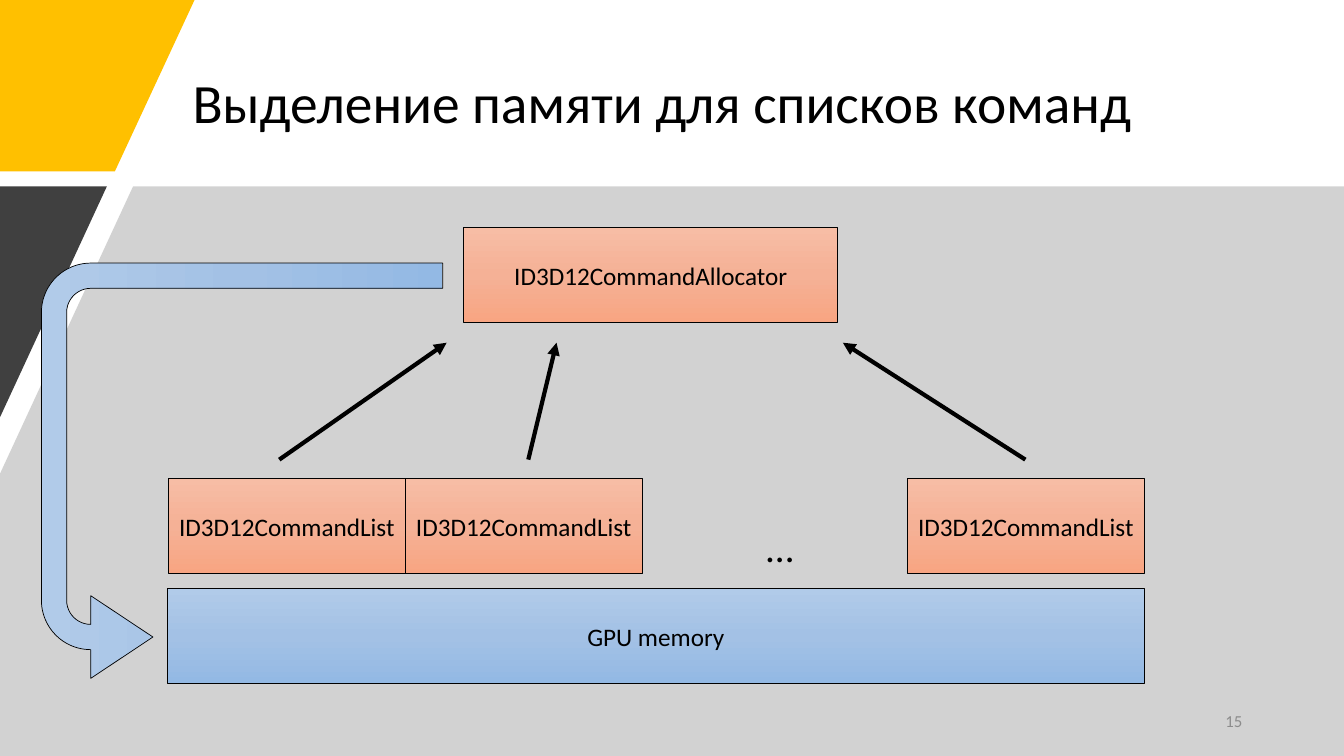
from copy import deepcopy

from lxml.etree import SubElement
from pptx import Presentation
from pptx.dml.color import RGBColor
from pptx.enum.shapes import MSO_CONNECTOR, MSO_SHAPE
from pptx.enum.text import MSO_ANCHOR, PP_ALIGN
from pptx.oxml.ns import qn
from pptx.util import Inches, Pt

FONT = "Calibri"
BLACK = RGBColor(0x00, 0x00, 0x00)
YELLOW = RGBColor(0xFF, 0xC0, 0x00)
GRAY = RGBColor(0xA6, 0xA6, 0xA6)
DARK = RGBColor(0x40, 0x40, 0x40)
NUMBER_GRAY = RGBColor(0x8C, 0x8C, 0x8C)
ORANGE_STOPS = (RGBColor(0xF7, 0xBD, 0xA5), RGBColor(0xF5, 0xB1, 0x96),
                RGBColor(0xF8, 0xA5, 0x82))
BLUE_STOPS = (RGBColor(0xB1, 0xCB, 0xE9), RGBColor(0xA3, 0xC1, 0xE5),
              RGBColor(0x93, 0xB9, 0xE4))

BOX_HEIGHT = 0.94
LIST_WIDTH = 2.35
LIST_TOP = 4.75


def write(frame, text, size, align, color=BLACK, anchor=MSO_ANCHOR.MIDDLE):
    frame.word_wrap = True
    frame.vertical_anchor = anchor
    para = frame.paragraphs[0]
    para.alignment = align
    span = para.add_run()
    span.text = text
    span.font.name = FONT
    span.font.size = Pt(size)
    span.font.color.rgb = color
    return para


def add_label(page, text, left, top, width, height, size, align, **style):
    box = page.shapes.add_textbox(Inches(left), Inches(top), Inches(width), Inches(height))
    write(box.text_frame, text, size, align, **style)


def add_panel(page, points, color, opacity=None):
    corners = [(Inches(x), Inches(y)) for x, y in points]
    builder = page.shapes.build_freeform(*corners[0])
    builder.add_line_segments(corners[1:], close=True)
    panel = builder.convert_to_shape()
    panel.shadow.inherit = False
    panel.fill.solid()
    panel.fill.fore_color.rgb = color
    panel.line.fill.background()
    if opacity is not None:
        tint = panel.fill._xPr.find(".//" + qn("a:srgbClr"))
        SubElement(tint, qn("a:alpha")).set("val", str(opacity * 1000))


def add_gradient_shape(page, kind, left, top, width, height, colors):
    shape = page.shapes.add_shape(kind, Inches(left), Inches(top), Inches(width), Inches(height))
    shape.shadow.inherit = False
    shape.line.color.rgb = BLACK
    shape.line.width = Pt(0.5)
    shape.fill.gradient()
    shape.fill.gradient_angle = 270
    # The default gradient has two stops; add one in the middle
    stop_list = shape.fill._xPr.find(".//" + qn("a:gsLst"))
    stop_list.insert(1, deepcopy(stop_list[0]))
    for stop, color, position in zip(shape.fill.gradient_stops, colors, (0, 0.5, 1)):
        stop.color.rgb = color
        stop.position = position
    return shape


def add_block(page, text, left, top, width, colors):
    block = add_gradient_shape(page, MSO_SHAPE.RECTANGLE, left, top, width, BOX_HEIGHT, colors)
    write(block.text_frame, text, 18, PP_ALIGN.CENTER)


def add_uturn(page):
    arrow = add_gradient_shape(page, MSO_SHAPE.U_TURN_ARROW, 0.34, 2.68, 4.12, 3.98, BLUE_STOPS)
    arrow.rotation = 270
    arrow._element.spPr.find(qn("a:xfrm")).set("flipH", "1")
    for index, value in enumerate((0.063, 0.103, 0.155, 0.177, 0.278)):
        arrow.adjustments[index] = value


def add_arrow(page, start_x, end_x):
    arrow = page.shapes.add_connector(MSO_CONNECTOR.STRAIGHT, Inches(start_x), Inches(4.56),
                                      Inches(end_x), Inches(3.4))
    arrow.line.color.rgb = BLACK
    arrow.line.width = Pt(3)
    SubElement(arrow.line._get_or_add_ln(), qn("a:tailEnd")).set("type", "triangle")
    SubElement(arrow._element.spPr, qn("a:effectLst"))


def add_title(page, text):
    title = page.shapes.title
    title.left, title.top = Inches(1.81), Inches(0.4)
    title.width, title.height = Inches(10.24), Inches(1.3)
    para = write(title.text_frame, text, 39.6, PP_ALIGN.LEFT)
    para.line_spacing = 0.9


def main():
    deck = Presentation()
    deck.slide_width, deck.slide_height = Inches(13.33), Inches(7.5)
    page = deck.slides.add_slide(deck.slide_layouts[5])
    add_title(page, "Выделение памяти для списков команд")

    # Background panels
    add_panel(page, [(0, 0), (1.93, 0), (1.14, 1.7), (0, 1.7)], YELLOW)
    add_panel(page, [(1.32, 1.85), (13.33, 1.85), (13.33, 7.5), (0, 7.5), (0, 4.7)], GRAY, 50)
    add_panel(page, [(0, 1.85), (1.06, 1.85), (0, 4.14)], DARK)
    add_label(page, "15", 9.42, 6.95, 3, 0.4, 12, PP_ALIGN.RIGHT, color=NUMBER_GRAY)

    # Allocator and command lists
    add_block(page, "ID3D12CommandAllocator", 4.6, 2.26, 3.71, ORANGE_STOPS)
    for left in (1.67, 1.67 + LIST_WIDTH, 9):
        add_block(page, "ID3D12CommandList", left, LIST_TOP, LIST_WIDTH, ORANGE_STOPS)
    add_label(page, "…", 7.2, 5.14, 1.07, 0.57, 28, PP_ALIGN.CENTER, anchor=MSO_ANCHOR.TOP)

    # GPU memory and the arrow leading to it
    add_uturn(page)
    add_block(page, "GPU memory", 1.66, 5.84, 9.69, BLUE_STOPS)

    # Arrows from the lists to the allocator
    for start_x, end_x in ((2.77, 4.43), (5.24, 5.52), (10.17, 8.36)):
        add_arrow(page, start_x, end_x)

    deck.save("out.pptx")


main()
